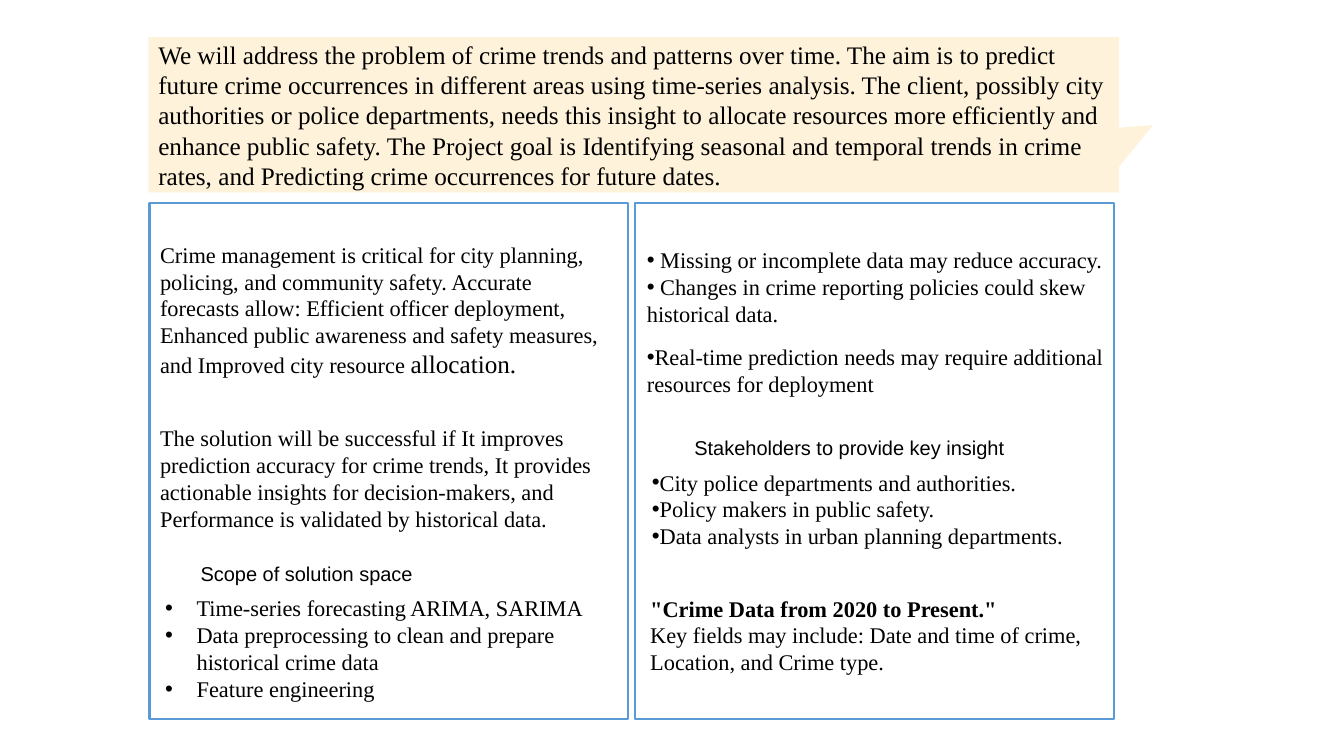
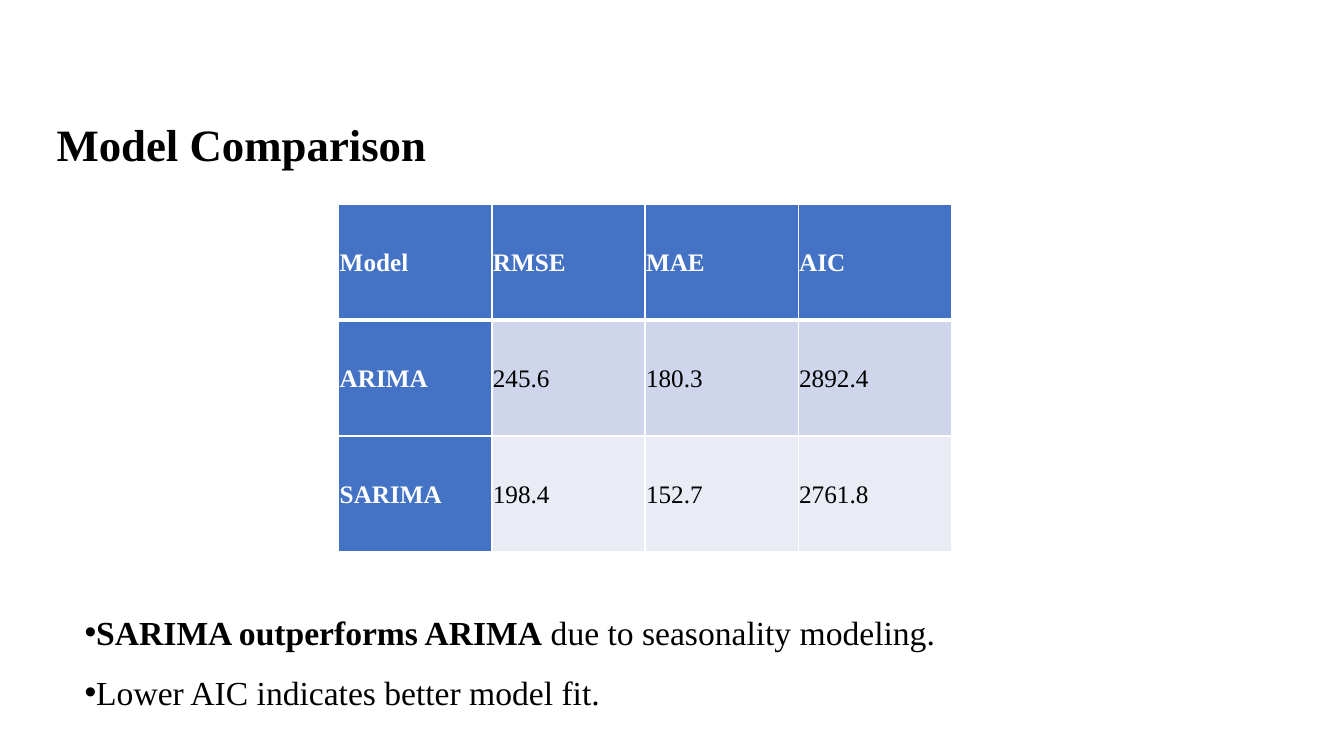
from dataclasses import dataclass

import lxml.etree
import pptx
import pptx.dml.color
import pptx.enum.shapes
import pptx.enum.text
import pptx.oxml.ns
import pptx.util

Pt = pptx.util.Pt
qn = pptx.oxml.ns.qn
MIDDLE = pptx.enum.text.MSO_ANCHOR.MIDDLE
TOP = pptx.enum.text.MSO_ANCHOR.TOP

SERIF, SANS = "Times New Roman", "Arial"
BLACK, WHITE = "000000", "FFFFFF"
PANEL_LINE, CREAM = "5B9BD5", "FEF2DA"
HEADER_BLUE, BANDS = "4472C4", ("CFD5EA", "E9EBF5")
INSETS = (7.2, 3.6, 7.2, 3.6)
NO_INSETS = (0, 0, 0, 0)


@dataclass
class Run:
    text: str
    size: float = 16
    bold: bool = False
    font: str = SERIF
    color: str = BLACK


@dataclass
class Para:
    runs: list[Run]
    bullet: bool = False
    hang: float = 0
    after: float = 0
    spacing: float = 1.0


@dataclass
class Block:
    left: float
    top: float
    width: float
    height: float
    paras: list[Para]
    insets: tuple = INSETS
    anchor: pptx.enum.text.MSO_ANCHOR = TOP


def rgb(color: str) -> pptx.dml.color.RGBColor:
    return pptx.dml.color.RGBColor.from_string(color)


def plain(text: str, **style) -> Para:
    return Para([Run(text, **style)])


def bullet(text: str, hang: float = 0, after: float = 0) -> Para:
    return Para([Run(text)], bullet=True, hang=hang, after=after)


def add_bullet(p, hang: float) -> None:
    pPr = p._p.get_or_add_pPr()
    pPr.set("marL", str(Pt(hang)))
    pPr.set("indent", str(-Pt(hang)))
    lxml.etree.SubElement(pPr, qn("a:buFont"), typeface="Arial")
    lxml.etree.SubElement(pPr, qn("a:buChar"), char="•")


def write(tf, paras: list[Para]) -> None:
    for i, para in enumerate(paras):
        p = tf.add_paragraph() if i else tf.paragraphs[0]
        p.alignment = pptx.enum.text.PP_ALIGN.LEFT
        p.line_spacing = para.spacing
        p.space_after = Pt(para.after)
        if para.bullet:
            add_bullet(p, para.hang)
        for run in para.runs:
            r = p.add_run()
            r.text = run.text
            r.font.name, r.font.size, r.font.bold = run.font, Pt(run.size), run.bold
            r.font.color.rgb = rgb(run.color)


def fill_frame(tf, block: Block) -> None:
    tf.word_wrap = True
    tf.vertical_anchor = block.anchor
    tf.margin_left, tf.margin_top, tf.margin_right, tf.margin_bottom = map(Pt, block.insets)
    write(tf, block.paras)


def add_text(s, block: Block) -> None:
    box = (block.left, block.top, block.width, block.height)
    fill_frame(s.shapes.add_textbox(*map(Pt, box)).text_frame, block)


def add_box(s, kind, box: tuple, fill: str, line: str | None = None):
    sp = s.shapes.add_shape(kind, *map(Pt, box))
    sp.shadow.inherit = False
    sp.fill.solid()
    sp.fill.fore_color.rgb = rgb(fill)
    if line:
        sp.line.color.rgb = rgb(line)
        sp.line.width = Pt(1.5)
    else:
        sp.line.fill.background()
    return sp


def set_borders(cell, top: float, bottom: float) -> None:
    tcPr = cell._tc.get_or_add_tcPr()
    for side, width in (("L", 1), ("R", 1), ("T", top), ("B", bottom)):
        ln = lxml.etree.SubElement(tcPr, qn(f"a:ln{side}"), w=str(Pt(width)))
        solid = lxml.etree.SubElement(ln, qn("a:solidFill"))
        lxml.etree.SubElement(solid, qn("a:srgbClr"), val=WHITE)


def add_model_table(s, rows: list[tuple], box: tuple) -> None:
    table = s.shapes.add_table(len(rows), len(rows[0]), *map(Pt, box)).table
    for i, row in enumerate(rows):
        for j, text in enumerate(row):
            cell = table.cell(i, j)
            heading = i == 0 or j == 0
            set_borders(cell, top=3 if i == 1 else 1, bottom=3 if i == 0 else 1)
            cell.fill.solid()
            cell.fill.fore_color.rgb = rgb(HEADER_BLUE if heading else BANDS[(i - 1) % 2])
            cell.vertical_anchor = MIDDLE
            cell.margin_left = cell.margin_right = Pt(0.7)
            cell.margin_top = cell.margin_bottom = Pt(0.7)
            run = Run(text, 18, bold=heading, color=WHITE if heading else BLACK)
            write(cell.text_frame, [Para([run], after=8, spacing=1.07)])


PROBLEM = Block(106, 26.6, 693.4, 110.9, [plain(
    "We will address the problem of crime trends and patterns over time. The aim is to "
    "predict future crime occurrences in different areas using time-series analysis. The "
    "client, possibly city authorities or police departments, needs this insight to allocate "
    "resources more efficiently and enhance public safety. The Project goal is Identifying "
    "seasonal and temporal trends in crime rates, and Predicting crime occurrences for "
    "future dates.", size=18)], anchor=MIDDLE)

TEXT_WIDTH = 340.6
PANEL_BLOCKS = [
    Block(107.3, 168.5, TEXT_WIDTH, 105, [Para([
        Run("Crime management is critical for city planning, policing, and community safety. "
            "Accurate forecasts allow: Efficient officer deployment, Enhanced public awareness "
            "and safety measures, and Improved city resource "),
        Run("allocation.", 18)])]),
    Block(107.3, 299.5, TEXT_WIDTH, 90, [plain(
        "The solution will be successful if It improves prediction accuracy for crime trends, "
        "It provides actionable insights for decision-makers, and Performance is validated by "
        "historical data.")]),
    Block(143.3, 401, 283, 17.5, [plain("Scope of solution space", size=14.3, font=SANS)],
          NO_INSETS, MIDDLE),
    Block(110.9, 421.2, TEXT_WIDTH, 88.5, [
        bullet("Time-series forecasting ARIMA, SARIMA", hang=22.5),
        bullet("Data preprocessing to clean and prepare historical crime data", hang=22.5),
        bullet("Feature engineering", hang=22.5)]),
    Block(455, 172.3, TEXT_WIDTH, 131.8, [
        bullet(" Missing or incomplete data may reduce accuracy."),
        bullet(" Changes in crime reporting policies could skew historical data.", after=12),
        bullet("Real-time prediction needs may require additional resources for deployment")]),
    Block(496, 310.3, 283, 18, [plain("Stakeholders to provide key insight", size=14.3, font=SANS)],
          NO_INSETS, MIDDLE),
    Block(458.6, 331.2, TEXT_WIDTH, 85, [
        bullet("City police departments and authorities."),
        bullet("Policy makers in public safety."),
        bullet("Data analysts in urban planning departments.")]),
    Block(457.4, 421.2, TEXT_WIDTH, 85, [
        plain('"Crime Data from 2020 to Present."', bold=True),
        plain("Key fields may include: Date and time of crime, Location, and Crime type.")]),
]

MODEL_ROWS = [
    ("Model", "RMSE", "MAE", "AIC"),
    ("ARIMA", "245.6", "180.3", "2892.4"),
    ("SARIMA", "198.4", "152.7", "2761.8"),
]
COMPARISON_BLOCKS = [
    Block(32.4, 83.5, 823, 46.8, [plain("Model Comparison", size=32, bold=True)],
          (8, 0, 0, 8), MIDDLE),
    Block(53.3, 419, 857.5, 89.3, [
        Para([Run("SARIMA outperforms ARIMA", 24, True),
              Run(" due to seasonality modeling.", 24)], bullet=True, spacing=1.5),
        Para([Run("Lower AIC indicates better model fit.", 24)], bullet=True, spacing=1.5)]),
]


def build_problem_slide(s) -> None:
    shapes = pptx.enum.shapes.MSO_SHAPE
    for column in range(2):
        add_box(s, shapes.RECTANGLE, (106.8 + 347 * column, 144.9, 342, 368.6), WHITE, PANEL_LINE)
    callout_box = (PROBLEM.left, PROBLEM.top, PROBLEM.width, PROBLEM.height)
    callout = add_box(s, shapes.RECTANGULAR_CALLOUT, callout_box, CREAM)
    callout.adjustments[0], callout.adjustments[1] = 0.535, 0.066
    fill_frame(callout.text_frame, PROBLEM)
    for block in PANEL_BLOCKS:
        add_text(s, block)


def build_comparison_slide(s) -> None:
    add_model_table(s, MODEL_ROWS, (242, 145.8, 437.6, 248.4))
    for block in COMPARISON_BLOCKS:
        add_text(s, block)


def main() -> None:
    prs = pptx.Presentation()
    prs.slide_width, prs.slide_height = Pt(960), Pt(540)
    for build in (build_problem_slide, build_comparison_slide):
        build(prs.slides.add_slide(prs.slide_layouts[6]))
    prs.save("out.pptx")


if __name__ == "__main__":
    main()
